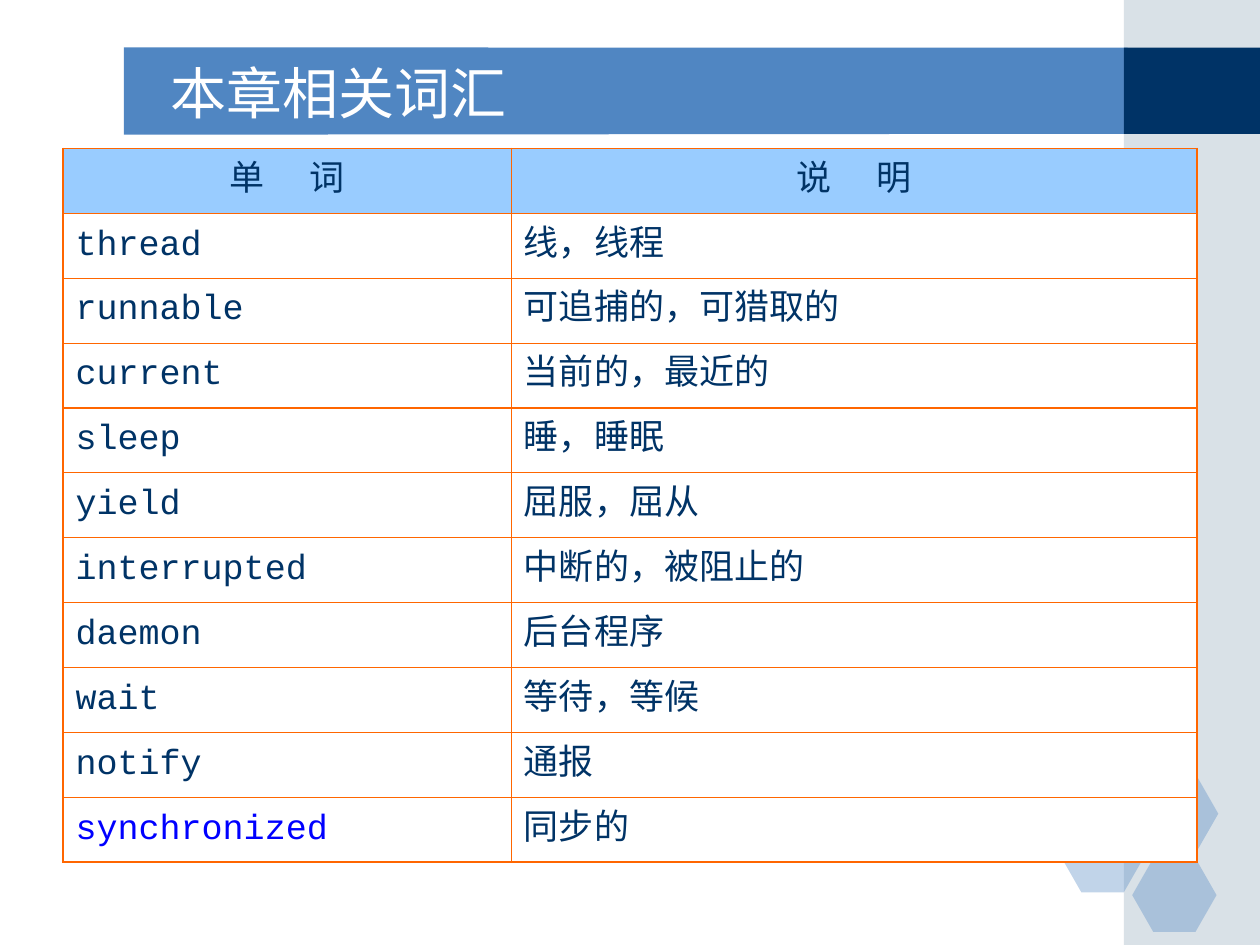
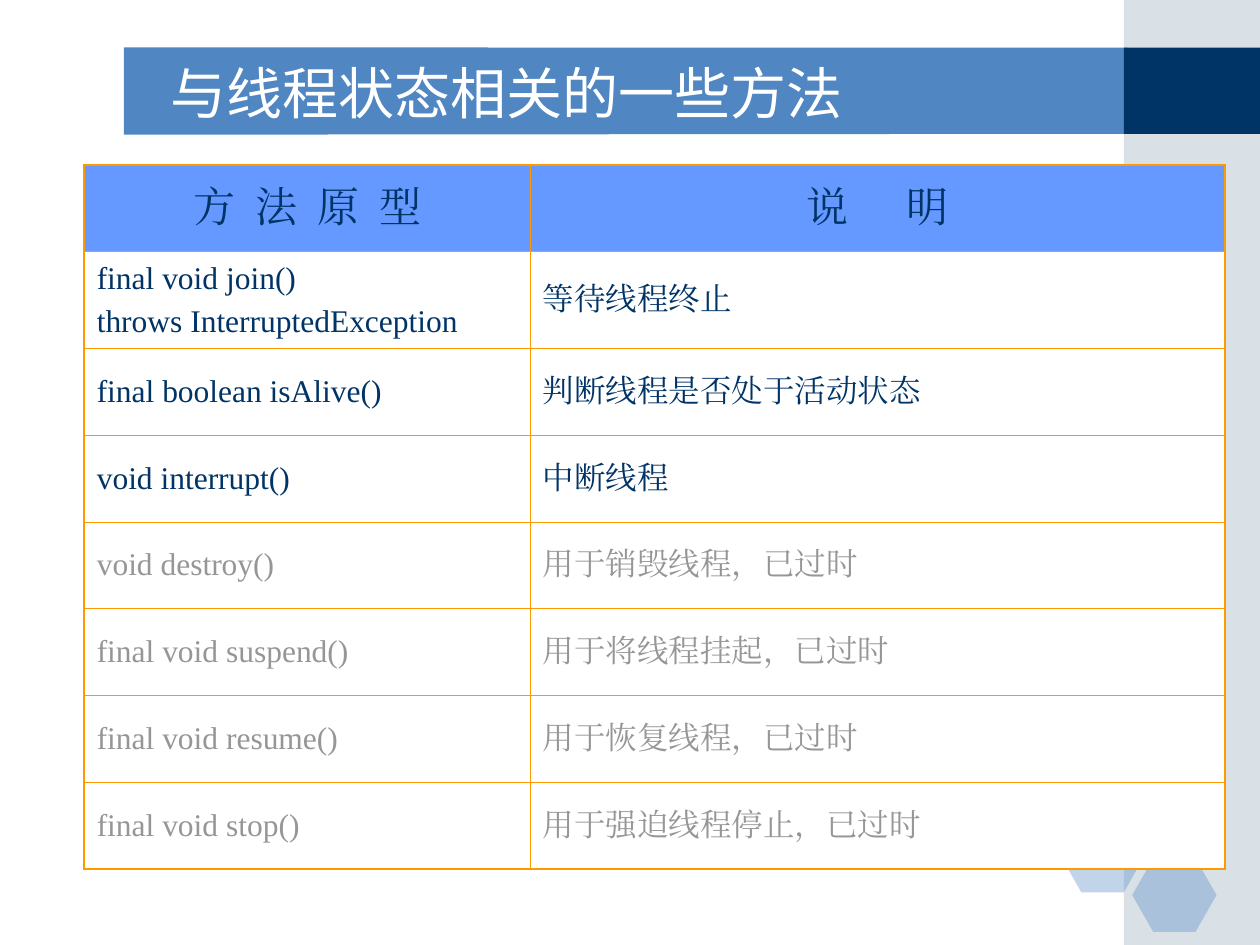
from lxml import etree
from pptx import Presentation
from pptx.dml.color import RGBColor
from pptx.enum.lang import MSO_LANGUAGE_ID
from pptx.enum.shapes import MSO_SHAPE
from pptx.enum.text import MSO_ANCHOR, MSO_AUTO_SIZE, PP_ALIGN
from pptx.oxml.ns import qn
from pptx.util import Pt

RECT, HEXAGON = MSO_SHAPE.RECTANGLE, MSO_SHAPE.HEXAGON
LEFT, CENTER = PP_ALIGN.LEFT, PP_ALIGN.CENTER
MIDDLE, NO_FIT = MSO_ANCHOR.MIDDLE, MSO_AUTO_SIZE.NONE
CHINESE = MSO_LANGUAGE_ID.SIMPLIFIED_CHINESE

WHITE = RGBColor(0xFF, 0xFF, 0xFF)
NAVY = RGBColor(0x00, 0x33, 0x66)
BLUE = RGBColor(0x50, 0x86, 0xC2)
MIST = RGBColor(0xA0, 0xB5, 0xC4)
SKY = RGBColor(0x99, 0xCC, 0xFF)
IRIS = RGBColor(0x66, 0x99, 0xFF)
PURE = RGBColor(0x00, 0x00, 0xFF)
GRAY = RGBColor(0x96, 0x96, 0x96)
RED = RGBColor(0xFF, 0x66, 0x00)
AMBER = RGBColor(0xFF, 0x99, 0x00)

SANS, MONO, SERIF = "DejaVu Sans", "Courier New", "Times New Roman"
WIDE, TALL = 720, 540
EDGE = 1.08  # outer table border

# Each row: word, meaning, colour of the word, colour of the meaning
WORDS = [
    ("thread", "线，线程", NAVY, NAVY),
    ("runnable", "可追捕的，可猎取的", NAVY, NAVY),
    ("current", "当前的，最近的", NAVY, NAVY),
    ("sleep", "睡，睡眠", NAVY, NAVY),
    ("yield", "屈服，屈从", NAVY, NAVY),
    ("interrupted", "中断的，被阻止的", NAVY, NAVY),
    ("daemon", "后台程序", NAVY, NAVY),
    ("wait", "等待，等候", NAVY, NAVY),
    ("notify", "通报", NAVY, NAVY),
    ("synchronized", "同步的", PURE, NAVY),
]
CALLS = [
    ("final void join()\nthrows InterruptedException", "等待线程终止", NAVY, NAVY),
    ("final boolean isAlive()", "判断线程是否处于活动状态", NAVY, NAVY),
    ("void interrupt()", "中断线程", NAVY, NAVY),
    ("void destroy()", "用于销毁线程，已过时", GRAY, GRAY),
    ("final void suspend()", "用于将线程挂起，已过时", GRAY, GRAY),
    ("final void resume()", "用于恢复线程，已过时", GRAY, GRAY),
    ("final void stop()", "用于强迫线程停止，已过时", GRAY, GRAY),
]


def write(frame, text, font=SANS, size=18, color=NAVY, align=LEFT, before=0, track=0):
    """Fill a text frame; track spreads the letters, save for the last one."""
    for i, line in enumerate(text.split("\n")):
        para = frame.add_paragraph() if i else frame.paragraphs[0]
        para.alignment, para.space_before = align, Pt(before)
        parts = [(line[:-1], track), (line[-1], 0)] if track else [(line, 0)]
        for part, gap in parts:
            run = para.add_run()
            run.text = part
            run.font.name, run.font.size = font, Pt(size)
            run.font.bold = False
            run.font.color.rgb = color
            run.font.language_id = CHINESE
            props = run.font._element
            etree.SubElement(props, qn("a:ea"), typeface=font)
            if gap:
                props.set("spc", str(round(gap * 100)))


def paint(shape, color, alpha=100):
    shape.shadow.inherit = False
    shape.fill.solid()
    shape.fill.fore_color.rgb = color
    shape.line.fill.background()
    if alpha < 100:
        tone = shape.fill._xPr.find(".//" + qn("a:srgbClr"))
        etree.SubElement(tone, qn("a:alpha"), val=str(alpha * 1000))


def block(slide, kind, box, color, alpha=100):
    shape = slide.shapes.add_shape(kind, *map(Pt, box))
    paint(shape, color, alpha)
    return shape


def decor(slide):
    # Title band, a little deeper at its left end
    band = slide.shapes.build_freeform(Pt(70.8), Pt(27.1))
    band.add_line_segments([(Pt(x), Pt(y)) for x, y in
                            ((644.4, 27.3), (644.4, 76.5), (70.8, 77))])
    paint(band.convert_to_shape(), BLUE)
    # Side column and its dark corner
    side = 642.2
    block(slide, RECT, (side, 0, WIDE - side, TALL), MIST, 40)
    block(slide, RECT, (side, 27.3, WIDE - side, 49.2), NAVY)
    # Honeycomb
    for x, y in ((606, 468), (648, 444), (647, 490.5)):
        cell = block(slide, HEXAGON, (x, y, 48.2, 42), BLUE, 35)
        cell.adjustments[0] = 0.286


def heading(slide, text, box):
    title = slide.shapes.title
    title.left, title.top, title.width, title.height = map(Pt, box)
    frame = title.text_frame
    frame.auto_size, frame.word_wrap = NO_FIT, True
    frame.vertical_anchor = MIDDLE
    write(frame, text, size=32, color=WHITE)
    tree = title._element.getparent()
    tree.append(title._element)  # bring above the band


def border(cell, color, widths):
    props = cell._tc.get_or_add_tcPr()
    for i, (side, width) in enumerate(zip("LRTB", widths)):
        line = etree.Element(qn("a:ln" + side), w=str(Pt(width)))
        fill = etree.SubElement(line, qn("a:solidFill"))
        etree.SubElement(fill, qn("a:srgbClr"), val=str(color))
        props.insert(i, line)


def grid(slide, box, cols, heights, head, rows, font, sizes, gaps, fill, rule, thin):
    """Two-column table; sizes and gaps hold the head value, then the body value."""
    last = len(rows)
    table = slide.shapes.add_table(last + 1, 2, *map(Pt, box)).table
    table.first_row = table.horz_banding = False
    for col, width in zip(table.columns, cols):
        col.width = Pt(width)
    for row, height in zip(table.rows, heights):
        row.height = Pt(height)
    for r in range(last + 1):
        for c in range(2):
            cell = table.cell(r, c)
            cell.vertical_anchor = MIDDLE
            cell.margin_left = cell.margin_right = Pt(7.2)
            cell.margin_top = cell.margin_bottom = Pt(3.6)
            cell.fill.solid()
            cell.fill.fore_color.rgb = WHITE if r else fill
            outer = (c == 0, c == 1, r == 0, r == last)
            border(cell, rule, [EDGE if out else thin for out in outer])
            if r:
                text, color = rows[r - 1][c], rows[r - 1][c + 2]
                write(cell.text_frame, text, font=font, size=sizes[1],
                      color=color, before=gaps[1])
            else:
                text, track = head[c]
                write(cell.text_frame, text, font=font, size=sizes[0],
                      align=CENTER, before=gaps[0], track=track)


def page(deck, title, **table):
    slide = deck.slides.add_slide(deck.slide_layouts[5])
    decor(slide)
    heading(slide, title, (90, 30, 528, 45))
    grid(slide, **table)


def main():
    deck = Presentation()
    deck.slide_width, deck.slide_height = Pt(WIDE), Pt(TALL)
    # Vocabulary
    page(deck, "本章相关词汇", box=(36, 84.8, 648, 408), cols=(256.2, 391.8),
         heights=[37.1] * 11, head=(("单 词", 6.7), ("说 明", 6.7)), rows=WORDS,
         font=MONO, sizes=(20, 20), gaps=(5, 5), fill=SKY, rule=RED, thin=0.75)
    # Thread methods
    page(deck, "与线程状态相关的一些方法", box=(48.1, 94.3, 652, 402.4),
         cols=(255, 397), heights=[49.6, 55.2] + [49.6] * 6,
         head=(("方 法 原 型", 2.7), ("说 明", 13.5)), rows=CALLS,
         font=SERIF, sizes=(24, 18), gaps=(6, 4.5), fill=IRIS, rule=AMBER, thin=0.45)
    deck.save("out.pptx")


if __name__ == "__main__":
    main()
